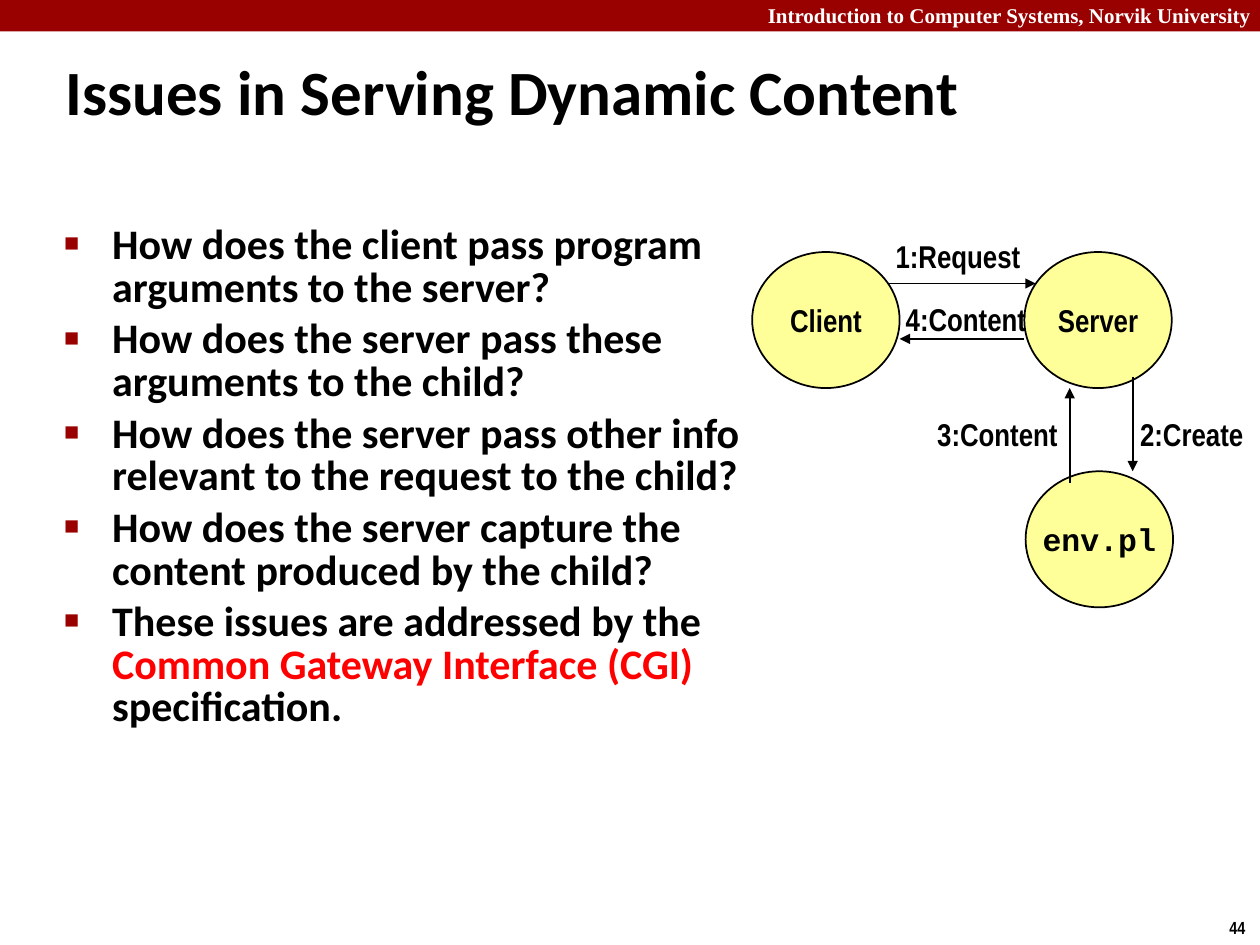
from dataclasses import dataclass

from lxml.etree import SubElement
from pptx import Presentation
from pptx.dml.color import RGBColor
from pptx.enum.shapes import MSO_CONNECTOR, MSO_SHAPE
from pptx.enum.text import MSO_ANCHOR, MSO_AUTO_SIZE, PP_ALIGN
from pptx.oxml.ns import qn
from pptx.util import Inches, Pt


@dataclass(frozen=True)
class Theme:
    black: RGBColor = RGBColor(0x00, 0x00, 0x00)
    white: RGBColor = RGBColor(0xFF, 0xFF, 0xFF)
    dark_red: RGBColor = RGBColor(0x99, 0x00, 0x00)
    red: RGBColor = RGBColor(0xFF, 0x00, 0x00)
    yellow: RGBColor = RGBColor(0xFF, 0xFF, 0x99)
    title_size: Pt = Pt(36)
    body_size: Pt = Pt(24)
    label_size: Pt = Pt(18)
    header_size: Pt = Pt(12)
    number_size: Pt = Pt(10)
    line_width: Pt = Pt(1)
    text_font: str = "Calibri"
    label_font: str = "Arial Narrow"
    code_font: str = "Courier New"
    header_font: str = "Times New Roman"


theme = Theme()


def add_run(paragraph, text, font_name, size, color=theme.black):
    run = paragraph.add_run()
    run.text = text
    for name, value in {"name": font_name, "size": size, "bold": True}.items():
        setattr(run.font, name, value)
    run.font.color.rgb = color


def format_frame(shape, alignment=PP_ALIGN.LEFT, **changes):
    frame = shape.text_frame
    values = {
        "word_wrap": False,
        "auto_size": MSO_AUTO_SIZE.NONE,
        "vertical_anchor": MSO_ANCHOR.TOP,
        "margin_left": Inches(0.1),
        "margin_right": Inches(0.1),
        "margin_top": Inches(0.05),
        "margin_bottom": Inches(0.05),
    }
    for name, value in {**values, **changes}.items():
        setattr(frame, name, value)
    frame.paragraphs[0].alignment = alignment
    return frame


presentation = Presentation()
presentation.slide_width = Inches(10)
presentation.slide_height = Inches(7.5)
slide = presentation.slides.add_slide(presentation.slide_layouts[1])
shapes = slide.shapes

title = shapes.title
body = slide.placeholders[1]
for placeholder, box in ((title, (0.42, 0.37, 9.08, 0.63)), (body, (0.41, 1.74, 5.86, 5.28))):
    for name, value in zip(("left", "top", "width", "height"), box):
        setattr(placeholder, name, Inches(value))

header_bar = shapes.add_shape(MSO_SHAPE.RECTANGLE, 0, 0, Inches(10), Inches(0.25))
header_bar.shadow.inherit = False
header_bar.fill.solid()
header_bar.fill.fore_color.rgb = theme.dark_red
header_bar.line.fill.background()

header = shapes.add_textbox(Inches(5.17), Inches(-0.03), Inches(4.9), Inches(0.3))
header_frame = format_frame(header, PP_ALIGN.RIGHT, word_wrap=True)
add_run(header_frame.paragraphs[0], "Introduction to Computer Systems, Norvik University ",
        theme.header_font, theme.header_size, theme.white)

page_number = shapes.add_textbox(Inches(9.66), Inches(7.23), Inches(0.34), Inches(0.27))
number_frame = format_frame(page_number)
add_run(number_frame.paragraphs[0], "44", theme.label_font, theme.number_size)

title_frame = format_frame(title, word_wrap=True)
add_run(title_frame.paragraphs[0], "Issues in Serving Dynamic Content",
        theme.text_font, theme.title_size)

issues = [
    [("How does the client pass program arguments to the server?", theme.black)],
    [("How does the server pass these arguments to the child?", theme.black)],
    [("How does the server pass other info relevant to the request to the child?", theme.black)],
    [("How does the server capture the content produced by the child?", theme.black)],
    [
        ("These issues are addressed by the ", theme.black),
        ("Common Gateway Interface (CGI) ", theme.red),
        ("specification.", theme.black),
    ],
]
body_frame = format_frame(body, word_wrap=True)
for index, issue in enumerate(issues):
    paragraph = body_frame.add_paragraph() if index else body_frame.paragraphs[0]
    paragraph_format = {
        "alignment": PP_ALIGN.LEFT,
        "line_spacing": 0.85,
        "space_before": theme.body_size * 0.2,
    }
    for name, value in paragraph_format.items():
        setattr(paragraph, name, int(value) if name == "space_before" else value)
    for text, color in issue:
        add_run(paragraph, text, theme.text_font, theme.body_size, color)
    properties = paragraph._p.get_or_add_pPr()
    properties.set("marL", str(Inches(0.38)))
    properties.set("indent", str(-Inches(0.38)))
    bullet_color = SubElement(properties, qn("a:buClr"))
    SubElement(bullet_color, qn("a:srgbClr"), val=str(theme.dark_red))
    SubElement(properties, qn("a:buSzPct"), val="60000")
    SubElement(properties, qn("a:buChar"), char="■")

nodes = [
    ("Client", 5.97, 2, theme.label_font),
    ("Server", 8.13, 2, theme.label_font),
    ("env.pl", 8.14, 3.74, theme.code_font),
]
for text, left, top, font_name in nodes:
    node = shapes.add_shape(MSO_SHAPE.OVAL, Inches(left), Inches(top), Inches(1.17), Inches(1.08))
    node.shadow.inherit = False
    node.fill.solid()
    node.fill.fore_color.rgb = theme.yellow
    node.line.color.rgb = theme.black
    node.line.width = theme.line_width
    node_frame = format_frame(node, PP_ALIGN.CENTER, vertical_anchor=MSO_ANCHOR.MIDDLE)
    add_run(node_frame.paragraphs[0], text, font_name, theme.label_size)

steps = [
    ("1:Request", (7.01, 1.83, 1.2), (7.05, 2.25, 8.22, 2.25)),
    ("2:Create", (8.95, 3.24, 1.03), (8.99, 2.99, 8.99, 3.74)),
    ("3:Content", (7.34, 3.24, 1.17), (8.49, 3.83, 8.49, 3.08)),
    ("4:Content", (7.09, 2.33, 1.17), (8.13, 2.69, 7.14, 2.69)),
]
for text, (left, top, width), ends in steps:
    arrow = shapes.add_connector(MSO_CONNECTOR.STRAIGHT, *map(Inches, ends))
    arrow.line.color.rgb = theme.black
    arrow.line.width = theme.line_width
    SubElement(arrow.line._get_or_add_ln(), qn("a:tailEnd"), type="triangle")
    SubElement(arrow._element.spPr, qn("a:effectLst"))
    label = shapes.add_textbox(Inches(left), Inches(top), Inches(width), Inches(0.4))
    label_frame = format_frame(label, vertical_anchor=MSO_ANCHOR.MIDDLE)
    add_run(label_frame.paragraphs[0], text, theme.label_font, theme.label_size)

presentation.save("out.pptx")
